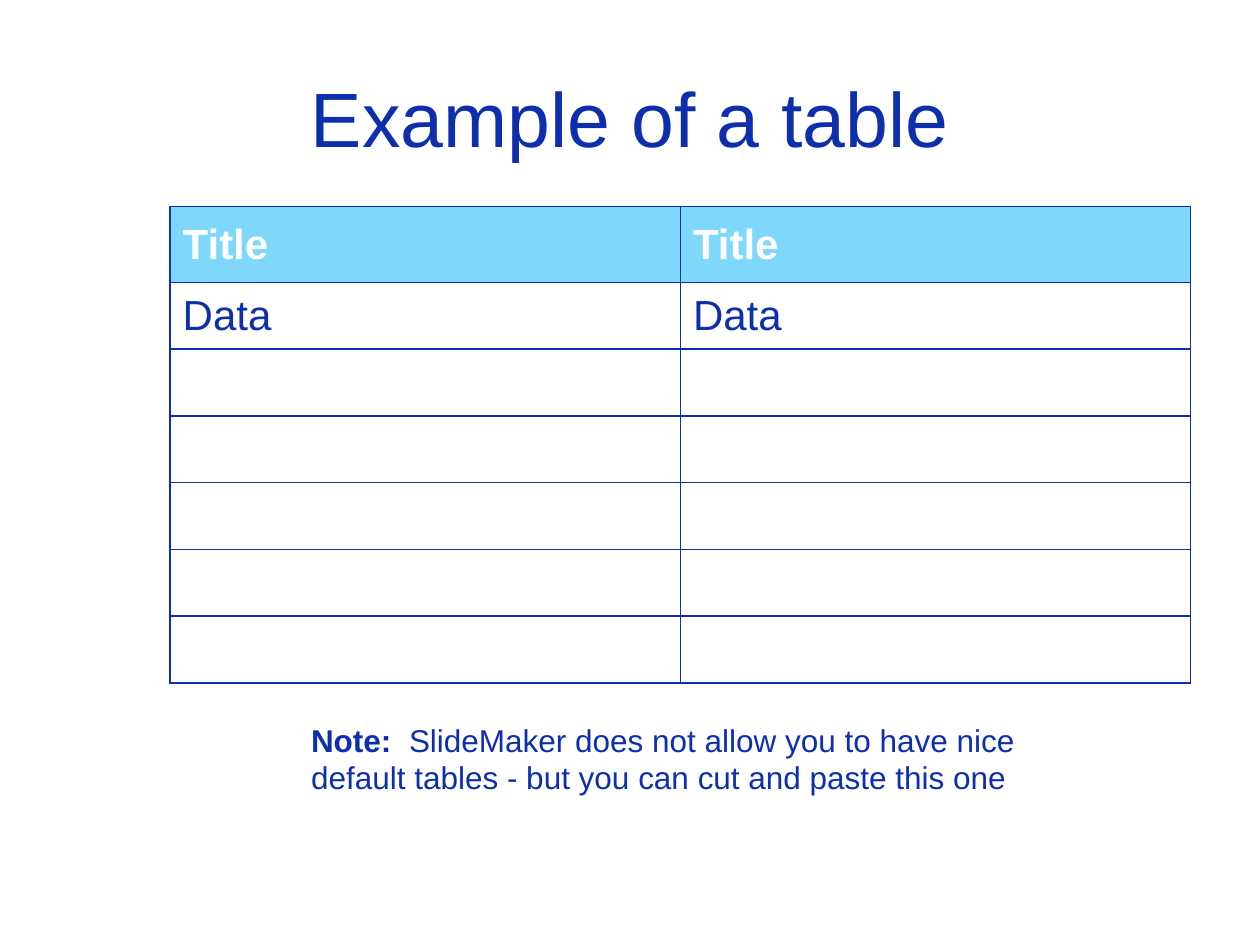
from lxml.etree import SubElement
from pptx import Presentation
from pptx.dml.color import RGBColor
from pptx.enum.text import MSO_ANCHOR, MSO_AUTO_SIZE, PP_ALIGN
from pptx.oxml.ns import qn
from pptx.util import Inches, Pt

COLORS = {"ink": "0E2FAD", "header": "7FD7FC", "white": "FFFFFF"}
WIDTH, HEIGHT = 10, 7.5


def add_text(p, text, size=18, color="ink", bold=False, font="Arial"):
    r = p.add_run()
    r.text = text
    r.font.name = font
    r.font.size = Pt(size)
    r.font.bold = bold
    r.font.color.rgb = RGBColor.from_string(COLORS[color])
    return r


class SlideBuilder:
    def __init__(self, prs):
        self.slide = prs.slides.add_slide(prs.slide_layouts[6])
        self.line_width = Pt(1)
        self.cell_size = 24

    def box(self, x, y, w, h):
        return (Inches(x * WIDTH), Inches(y * HEIGHT),
                Inches(w * WIDTH), Inches(h * HEIGHT))

    def text(self, area, runs, align=PP_ALIGN.LEFT, anchor=MSO_ANCHOR.TOP,
             fit=MSO_AUTO_SIZE.NONE):
        tf = self.slide.shapes.add_textbox(*self.box(*area)).text_frame
        tf.word_wrap = True
        tf.auto_size = fit
        tf.vertical_anchor = anchor
        p = tf.paragraphs[0]
        p.alignment = align
        for text, style in runs:
            add_text(p, text, **style)

    def borders(self, cell):
        tc_pr = cell._tc.get_or_add_tcPr()
        for i, side in enumerate(("lnL", "lnR", "lnT", "lnB")):
            ln = tc_pr.makeelement(qn(f"a:{side}"), {"w": str(self.line_width)})
            fill = SubElement(ln, qn("a:solidFill"))
            SubElement(fill, qn("a:srgbClr"), val=COLORS["ink"])
            tc_pr.insert(i, ln)

    def table(self, area, rows, header_height, row_height):
        frame = self.slide.shapes.add_table(len(rows), len(rows[0]), *self.box(*area))
        table = frame.table
        table.first_row = table.horz_banding = False
        for i, values in enumerate(rows):
            header = i == 0
            share = header_height if header else row_height
            table.rows[i].height = Inches(share * HEIGHT)
            for j, value in enumerate(values):
                cell = table.cell(i, j)
                cell.vertical_anchor = MSO_ANCHOR.MIDDLE
                if header:
                    cell.fill.solid()
                    cell.fill.fore_color.rgb = RGBColor.from_string(COLORS["header"])
                else:
                    cell.fill.background()
                if value:
                    add_text(cell.text_frame.paragraphs[0], value, size=self.cell_size,
                             color="white" if header else "ink", bold=header)
                self.borders(cell)


def main():
    prs = Presentation()
    prs.slide_width, prs.slide_height = Inches(WIDTH), Inches(HEIGHT)
    s = SlideBuilder(prs)
    s.text((0.05, 0.04, 0.9, 1 / 6), [("Example of a table", {"size": 44})],
           align=PP_ALIGN.CENTER, anchor=MSO_ANCHOR.MIDDLE)
    rows = [["Title"] * 2, ["Data"] * 2] + [[""] * 2] * 5
    s.table((0.135, 1.64 / HEIGHT, 0.81, 0.5), rows,
            header_height=0.08, row_height=0.53 / HEIGHT)
    s.text((0.237, 5.67 / HEIGHT, 0.618, 0.7 / HEIGHT),
           [("Note:  ", {"bold": True}),
            ("SlideMaker does not allow you to have nice default tables"
             " - but you can cut and paste this one", {})],
           fit=MSO_AUTO_SIZE.SHAPE_TO_FIT_TEXT)
    prs.save("out.pptx")


if __name__ == "__main__":
    main()
